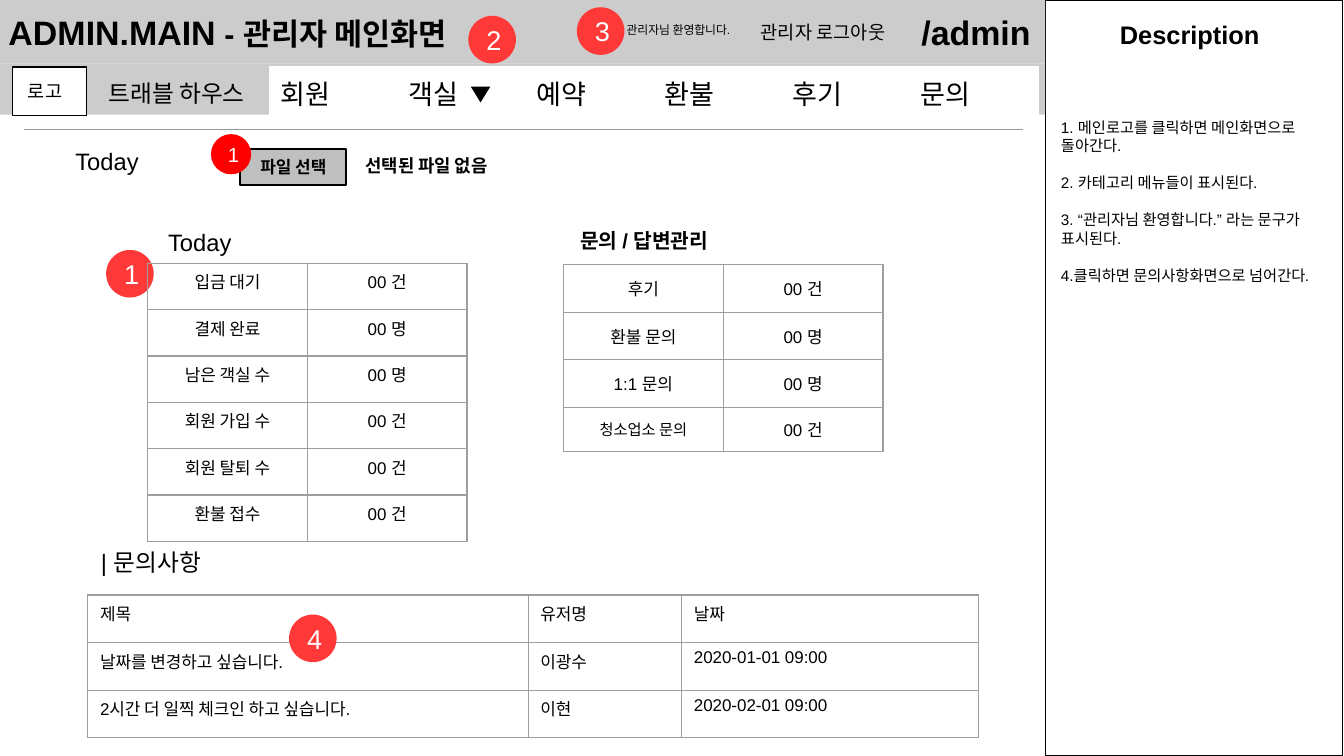
from lxml import etree
from pptx import Presentation
from pptx.dml.color import RGBColor
from pptx.enum.shapes import MSO_CONNECTOR, MSO_SHAPE
from pptx.enum.text import MSO_ANCHOR, PP_ALIGN
from pptx.oxml import parse_xml
from pptx.oxml.ns import nsdecls, qn
from pptx.util import Inches, Pt

LEFT, CENTER, RIGHT = PP_ALIGN.LEFT, PP_ALIGN.CENTER, PP_ALIGN.RIGHT
TOP, MIDDLE = MSO_ANCHOR.TOP, MSO_ANCHOR.MIDDLE
RECTANGLE, OVAL = MSO_SHAPE.RECTANGLE, MSO_SHAPE.OVAL
TRIANGLE = MSO_SHAPE.ISOSCELES_TRIANGLE
STRAIGHT = MSO_CONNECTOR.STRAIGHT

BLACK = RGBColor(0x00, 0x00, 0x00)
WHITE = RGBColor(0xFF, 0xFF, 0xFF)
BAR_GRAY = RGBColor(0xCC, 0xCC, 0xCC)
BUTTON_GRAY = RGBColor(0xBF, 0xBF, 0xBF)
RULE_GRAY = RGBColor(0x99, 0x99, 0x99)
GRID_GRAY = RGBColor(0x9E, 0x9E, 0x9E)
MARKER_RED = RGBColor(0xFF, 0x38, 0x38)
PURE_RED = RGBColor(0xFF, 0x00, 0x00)

LATIN_FONT = "Arial"
KOREAN_FONT = "Noto Sans CJK KR"

MENU = ["회원", "객실", "예약", "환불", "후기", "문의"]
TODAY_ROWS = [
    ["입금 대기", "00 건"],
    ["결제 완료", "00 명"],
    ["남은 객실 수", "00 명"],
    ["회원 가입 수", "00 건"],
    ["회원 탈퇴 수", "00 건"],
    ["환불 접수", "00 건"],
]
REPLY_ROWS = [
    ["후기", "00 건"],
    ["환불 문의", "00 명"],
    ["1:1 문의", "00 명"],
    ["청소업소 문의", "00 건"],
]
INQUIRY_ROWS = [
    ["제목", "유저명", "날짜"],
    ["날짜를 변경하고 싶습니다.", "이광수", "2020-01-01 09:00"],
    ["2시간 더 일찍 체크인 하고 싶습니다.", "이현", "2020-02-01 09:00"],
]
NOTES = [
    "1. 메인로고를 클릭하면 메인화면으로 돌아간다.",
    "2. 카테고리 메뉴들이 표시된다.",
    "3. “관리자님 환영합니다.” 라는 문구가 표시된다.",
    "4.클릭하면 문의사항화면으로 넘어간다.",
]


def add_span(para, text, size=10, bold=False, color=BLACK, font=LATIN_FONT):
    span = para.add_run()
    span.text = text
    span.font.size = Pt(size)
    span.font.bold = bold
    span.font.color.rgb = color
    span.font.name = font
    east_asian = etree.SubElement(span.font._element, qn("a:ea"))
    east_asian.set("typeface", KOREAN_FONT)


def set_frame(frame, inset, anchor):
    frame.word_wrap = True
    frame.vertical_anchor = anchor
    frame.margin_left = frame.margin_right = Inches(inset[0])
    frame.margin_top = frame.margin_bottom = Inches(inset[1])


def add_shape(page, kind, place, fill, line=None, weight=0.75, text="",
              inset=(0.09, 0.04), align=CENTER, **style):
    shape = page.shapes.add_shape(kind, *map(Inches, place))
    shape.shadow.inherit = False
    shape.fill.solid()
    shape.fill.fore_color.rgb = fill
    if line is None:
        shape.line.fill.background()
    else:
        shape.line.color.rgb = line
        shape.line.width = Pt(weight)
    if text:
        set_frame(shape.text_frame, inset, MIDDLE)
        para = shape.text_frame.paragraphs[0]
        para.alignment = align
        add_span(para, text, **style)
    return shape


def add_text(page, place, *lines, inset=(0.1, 0.1), anchor=TOP, align=LEFT,
             gap=0, **style):
    box = page.shapes.add_textbox(*map(Inches, place))
    set_frame(box.text_frame, inset, anchor)
    for index, line in enumerate(lines):
        para = box.text_frame.paragraphs[0]
        if index:
            para = box.text_frame.add_paragraph()
            para.space_before = Pt(gap)
        para.alignment = align
        add_span(para, line, **style)


def add_marker(page, left, top, number, size=16, diameter=0.39, fill=MARKER_RED):
    add_shape(page, OVAL, (left, top, diameter, diameter), fill,
              text=number, size=size, color=WHITE)


def add_borders(cell):
    properties = cell._tc.get_or_add_tcPr()
    for side in ("lnL", "lnR", "lnT", "lnB"):
        properties.append(parse_xml(
            f'<a:{side} {nsdecls("a")} w="{Pt(0.75)}"><a:solidFill>'
            f'<a:srgbClr val="{GRID_GRAY}"/></a:solidFill></a:{side}>'))


def add_grid(page, left, top, widths, heights, rows, inset=(0.1, 0.05), anchor=TOP,
             align=LEFT, fill=None, small_texts=(), size=10):
    place = (left, top, sum(widths), sum(heights))
    frame = page.shapes.add_table(len(rows), len(widths), *map(Inches, place))
    table = frame.table
    table.first_row = table.horz_banding = False
    for column, width in zip(table.columns, widths):
        column.width = Inches(width)
    for row, height in zip(table.rows, heights):
        row.height = Inches(height)
    for row, texts in zip(table.rows, rows):
        for cell, text in zip(row.cells, texts):
            if fill is None:
                add_borders(cell)
                cell.fill.background()
            else:
                cell.fill.solid()
                cell.fill.fore_color.rgb = fill
            cell.vertical_anchor = anchor
            cell.margin_left = cell.margin_right = Inches(inset[0])
            cell.margin_top = cell.margin_bottom = Inches(inset[1])
            para = cell.text_frame.paragraphs[0]
            para.alignment = align
            add_span(para, text, size=9 if text in small_texts else size)


def add_rule(page, left, top, right):
    rule = page.shapes.add_connector(
        STRAIGHT, Inches(left), Inches(top), Inches(right), Inches(top))
    rule.line.color.rgb = RULE_GRAY
    rule.line.width = Pt(0.79)
    etree.SubElement(rule._element.spPr, qn("a:effectLst"))


def add_description(page):
    add_shape(page, RECTANGLE, (8.57, 0, 2.44, 6.2), WHITE, BLACK)
    add_text(page, (8.61, 0.93, 2.33, 1.6), *NOTES,
             inset=(0.09, 0.04), gap=11, size=9)
    add_text(page, (8.61, 0.12, 2.29, 0.39), "Description",
             inset=(0.09, 0.04), align=CENTER, size=15, bold=True)


def add_header(page):
    title = add_shape(page, RECTANGLE, (0, 0, 8.57, 0.52), BAR_GRAY, text="ADMIN.MAIN",
                      inset=(0.07, 0), align=LEFT, size=20, bold=True)
    add_span(title.text_frame.paragraphs[0], " - 관리자 메인화면", size=18, bold=True)
    add_shape(page, RECTANGLE, (0, 0.52, 8.57, 0.42), BAR_GRAY)
    logo = add_shape(page, RECTANGLE, (0.1, 0.55, 0.61, 0.4), WHITE, BLACK,
                     text="로고", size=11)
    logo.text_frame.margin_right = Inches(0.16)
    add_grid(page, 2.21, 0.55, [1.05] * 6, [0.41], [MENU], inset=(0.09, 0.05),
             fill=WHITE, size=16)
    arrow = add_shape(page, TRIANGLE, (3.86, 0.71, 0.16, 0.13), BLACK)
    arrow.rotation = 180
    add_text(page, (6.14, 0.12, 1.33, 0.27), "관리자 로그아웃",
             inset=(0.1, 0.05), size=11)
    add_text(page, (5.04, 0.13, 1.17, 0.27), "관리자님 환영합니다.", size=7)
    add_text(page, (5.58, 0.07, 2.97, 0.39), "/admin", anchor=MIDDLE,
             align=RIGHT, size=20, bold=True)
    add_text(page, (0.79, 0.6, 1.5, 0.38), "트래블 하우스",
             inset=(0.1, 0.05), size=14, font=KOREAN_FONT)
    add_marker(page, 3.84, 0.13, "2")
    add_marker(page, 4.73, 0.06, "3")


def add_file_picker(page):
    add_text(page, (0.52, 1.1, 2.24, 0.39), "Today", size=14)
    add_shape(page, RECTANGLE, (1.97, 1.22, 0.87, 0.3), BUTTON_GRAY, BLACK, 1,
              "파일 선택", size=10, bold=True)
    add_text(page, (2.9, 1.22, 1.43, 0.27), "선택된 파일 없음",
             inset=(0.1, 0.05), size=10.5, bold=True)
    add_marker(page, 1.73, 1.1, "1", size=12, diameter=0.33, fill=PURE_RED)
    add_rule(page, 0.2, 1.06, 8.39)


def add_tables(page):
    add_marker(page, 0.87, 2.05, "1")
    add_grid(page, 1.21, 2.16, [1.31] * 2, [0.38] * 6, TODAY_ROWS, align=CENTER)
    add_grid(page, 4.62, 2.17, [1.31] * 2, [0.39] * 3 + [0.36], REPLY_ROWS,
             anchor=MIDDLE, align=CENTER, small_texts=("청소업소 문의",))
    add_grid(page, 0.72, 4.88, [3.61, 1.26, 2.43], [0.39] * 3, INQUIRY_ROWS)
    add_text(page, (1.28, 1.77, 2.24, 0.39), "Today", size=14)
    add_text(page, (4.66, 1.77, 2.25, 0.39), "문의 / 답변관리", size=12, bold=True)
    add_text(page, (0.73, 4.39, 2.24, 0.46), "| 문의사항", size=14)
    add_marker(page, 2.37, 5.04, "4")


def main():
    deck = Presentation()
    deck.slide_width, deck.slide_height = Inches(11.02), Inches(6.2)
    page = deck.slides.add_slide(deck.slide_layouts[6])
    add_description(page)
    add_header(page)
    add_file_picker(page)
    add_tables(page)
    deck.save("out.pptx")


if __name__ == "__main__":
    main()
